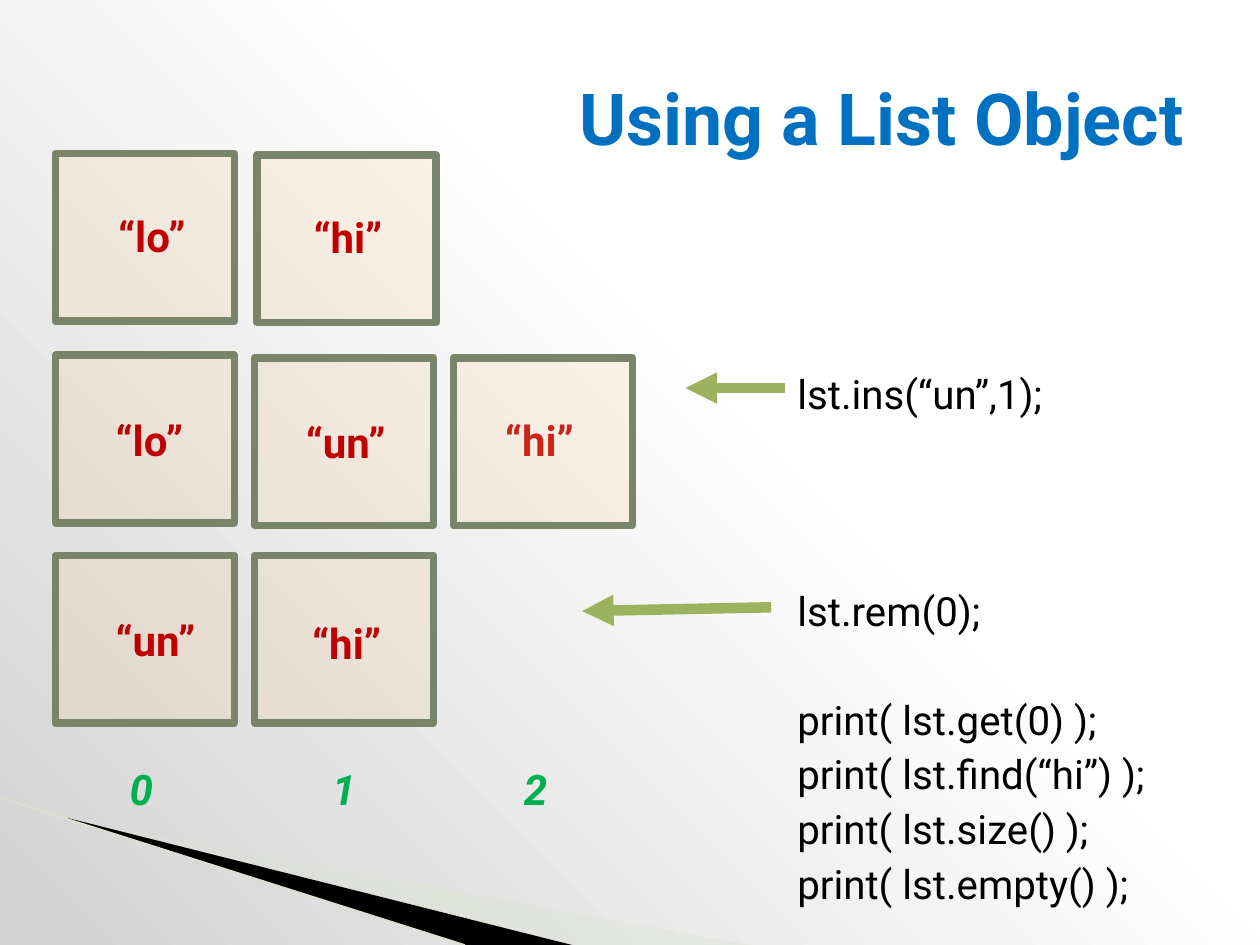
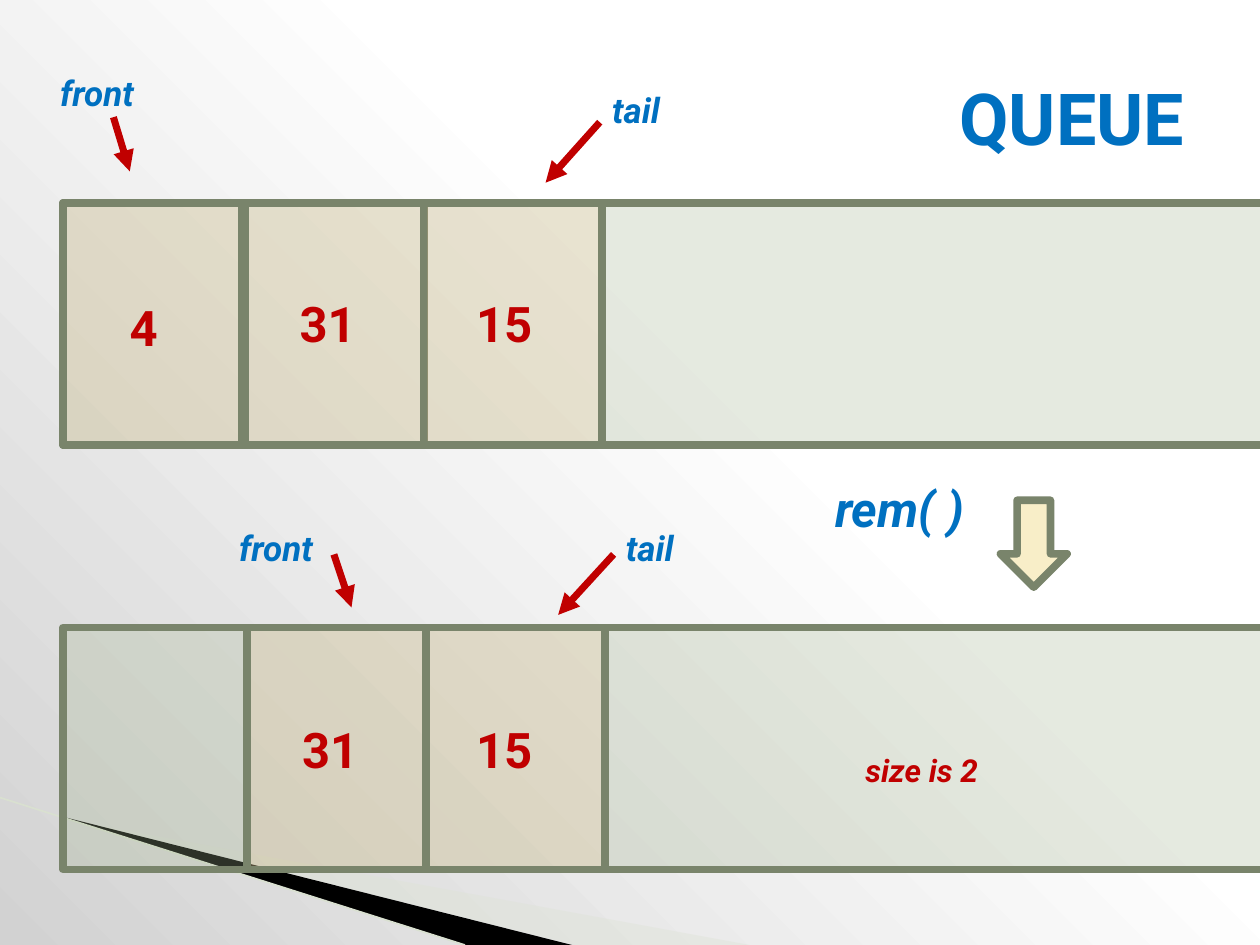
import pptx
import pptx.util
import pptx.dml.color
import pptx.enum.shapes
import pptx.enum.text
import pptx.oxml
import pptx.oxml.ns
from lxml import etree

Inches = pptx.util.Inches
Pt = pptx.util.Pt
SHAPES = pptx.enum.shapes.MSO_SHAPE
NAMESPACE = pptx.oxml.ns.nsdecls("a")
FONT = "Roboto"
COLORS = {
    "title": "0070C0", "value": "C00000", "index": "00B050", "code": "000000",
    "border": "79846B", "cell": "F8C78E", "band": "A5B592", "step": "F0D77D",
    "call_arrow": "9DB25E", "wedge": "DDE3D5", "hairline": "D9E0D0",
    "light": "FFFFFF", "dark": "D2D2D2",
}
CELL_WIDTH = 1.42
LIST_CELL_HEIGHT = 1.33
BAND_HEIGHT = 1.92


def rgb(name):
    """Return the named colour."""
    return pptx.dml.color.RGBColor.from_string(COLORS[name])


def add_run(paragraph, text, size, color, bold=True, italic=False):
    """Add one formatted run to a paragraph."""
    run = paragraph.add_run()
    run.text = text
    run.font.name = FONT
    run.font.size = Pt(size)
    run.font.bold = bold
    run.font.italic = italic
    run.font.color.rgb = rgb(color)


def add_text_box(slide, left, top, width, height):
    """Add an empty wrapping text box and return its frame."""
    shape = slide.shapes.add_textbox(Inches(left), Inches(top), Inches(width), Inches(height))
    shape.text_frame.word_wrap = True
    return shape.text_frame


def add_label(slide, text, left, top, size, color, width=1.0, italic=False):
    """Add a single-line bold label."""
    frame = add_text_box(slide, left, top, width, 0.5)
    add_run(frame.paragraphs[0], text, size, color, italic=italic)


def fill_shape(shape, color, opacity=100):
    """Give a shape a flat fill of the given opacity."""
    shape.shadow.inherit = False
    shape.fill.solid()
    shape.fill.fore_color.rgb = rgb(color)
    if opacity < 100:
        element = shape._element.spPr.find(".//" + pptx.oxml.ns.qn("a:srgbClr"))
        alpha = etree.SubElement(element, pptx.oxml.ns.qn("a:alpha"))
        alpha.set("val", str(opacity * 1000))


def add_block(slide, kind, left, top, width, height, color, opacity):
    """Add a translucent shape with the shared thick border."""
    shape = slide.shapes.add_shape(kind, Inches(left), Inches(top), Inches(width), Inches(height))
    fill_shape(shape, color, opacity)
    shape.line.color.rgb = rgb("border")
    shape.line.width = Pt(4.33)
    etree.SubElement(shape.line._get_or_add_ln(), pptx.oxml.ns.qn("a:round"))


def add_line(slide, start, end, color, width, arrow=True):
    """Add a straight line, with an arrowhead at its end if wanted."""
    points = [Inches(value) for value in (*start, *end)]
    connector = slide.shapes.add_connector(pptx.enum.shapes.MSO_CONNECTOR.STRAIGHT, *points)
    connector.line.color.rgb = rgb(color)
    connector.line.width = Pt(width)
    if arrow:
        head = etree.SubElement(connector.line._get_or_add_ln(), pptx.oxml.ns.qn("a:tailEnd"))
        head.set("type", "triangle")
    etree.SubElement(connector._element.spPr, pptx.oxml.ns.qn("a:effectLst"))


def add_wedge(slide, points, color, opacity=100):
    """Add a borderless polygon."""
    corners = [(Inches(x), Inches(y)) for x, y in points]
    builder = slide.shapes.build_freeform(*corners[0])
    builder.add_line_segments(corners[1:])
    shape = builder.convert_to_shape()
    fill_shape(shape, color, opacity)
    shape.line.fill.background()


def set_background(slide):
    """Shade the slide from its top right corner to its bottom left."""
    slide.background.fill.solid()
    properties = slide._element.cSld.find(".//" + pptx.oxml.ns.qn("p:bgPr"))
    stops = "".join(
        f'<a:gs pos="{position * 1000}"><a:srgbClr val="{COLORS[name]}"/></a:gs>'
        for position, name in ((0, "light"), (40, "light"), (100, "dark")))
    gradient = pptx.oxml.parse_xml(
        f'<a:gradFill {NAMESPACE} rotWithShape="1"><a:gsLst>{stops}</a:gsLst>'
        '<a:path path="circle"><a:fillToRect l="100000" b="100000"/></a:path></a:gradFill>')
    properties.replace(properties[0], gradient)


def start_slide(presentation, title):
    """Add a slide with the shared background, wedges and title."""
    slide = presentation.slides.add_slide(presentation.slide_layouts[5])
    set_background(slide)
    add_wedge(slide, [(0.55, 6.51), (5.95, 7.5), (4.56, 7.5), (0.55, 6.5)], "wedge", 40)
    add_wedge(slide, [(0.53, 6.49), (4.54, 7.5), (3.7, 7.5), (0.54, 6.5)], "code")
    add_line(slide, (0, 6.33), (3.69, 7.5), "hairline", 0.95, arrow=False)
    shape = slide.shapes.title
    shape.left, shape.top = Inches(0.5), Inches(0.3)
    shape.width, shape.height = Inches(9), Inches(1.25)
    frame = shape.text_frame
    frame.auto_size = pptx.enum.text.MSO_AUTO_SIZE.NONE
    frame.vertical_anchor = pptx.enum.text.MSO_ANCHOR.MIDDLE
    frame.paragraphs[0].alignment = pptx.enum.text.PP_ALIGN.RIGHT
    add_run(frame.paragraphs[0], title, 41, "title")
    return slide


def add_list_row(slide, left, top, pitch, drop, items):
    """Add list cells; each item is a word and its offset in the cell."""
    for index, (word, across, down) in enumerate(items):
        x = left + index * pitch
        y = top + (drop if index else 0)
        cell = (slide, SHAPES.RECTANGLE, x, y, CELL_WIDTH, LIST_CELL_HEIGHT, "cell", 19)
        covered = index == 2
        if not covered:
            add_block(*cell)
        add_label(slide, word, x + across, y + down, 24, "value")
        if covered:
            add_block(*cell)


def add_code(slide, left, top, width, height):
    """Add the list calls, spaced to line up with the rows."""
    frame = add_text_box(slide, left, top, width, height)
    lines = [("lst.ins(“un”,1);", 0), ("lst.rem(0);", 96.5), ("print( lst.get(0) );", 34.5),
             ("print( lst.find(“hi”) );", 3.7), ("print( lst.size() );", 3.7),
             ("print( lst.empty() );", 3.7)]
    for index, (text, gap) in enumerate(lines):
        paragraph = frame.add_paragraph() if index else frame.paragraphs[0]
        paragraph.space_before = Pt(gap)
        add_run(paragraph, text, 23, "code", bold=False)


def add_queue(slide, left, top, cells):
    """Add a queue band; each cell is a number, its place and its label offset."""
    add_block(slide, SHAPES.RECTANGLE, left, top, 9.83, BAND_HEIGHT, "band", 28)
    for number, across, label_across, label_down in cells:
        x = left + across
        add_block(slide, SHAPES.RECTANGLE, x, top, CELL_WIDTH, BAND_HEIGHT, "cell", 19)
        add_label(slide, number, x + label_across, top + label_down, 28, "value", 0.75)


def add_pointer(slide, name, left, top, start, reach):
    """Add a named arrow; start is relative to the label, reach to the start."""
    add_label(slide, name, left, top, 20, "title", italic=True)
    x, y = left + start[0], top + start[1]
    add_line(slide, (x, y), (x + reach[0], y + reach[1]), "value", 4)


def build_list_slide(presentation):
    """Build the slide that shows a list changing."""
    slide = start_slide(presentation, "Using a List Object")
    add_list_row(slide, 0.44, 1.22, 1.6, 0.01, [("“lo”", 0.4, 0.4), ("“hi”", 0.35, 0.4)])
    add_list_row(slide, 0.44, 2.82, 1.58, 0.02,
                 [("“lo”", 0.38, 0.42), ("“un”", 0.31, 0.42), ("“hi”", 0.31, 0.4)])
    add_list_row(slide, 0.44, 4.41, 1.58, 0, [("“un”", 0.38, 0.42), ("“hi”", 0.36, 0.44)])
    for index, left in enumerate((0.93, 2.54, 4.06)):
        add_label(slide, str(index), left, 6.01, 24, "index", 0.5, italic=True)
    add_code(slide, 6.23, 2.88, 3.39, 4.45)
    add_line(slide, (6.23, 3.08), (5.44, 3.08), "call_arrow", 6)
    add_line(slide, (6.12, 4.82), (4.62, 4.85), "call_arrow", 6)


def build_queue_slide(presentation):
    """Build the slide that shows a queue before and after a removal."""
    slide = start_slide(presentation, "QUEUE")
    add_queue(slide, 0.5, 1.61, [("4", 0, 0.43, 0.7), ("31", 1.45, 0.33, 0.67),
                                 ("15", 2.86, 0.32, 0.67)])
    add_queue(slide, 0.5, 4.98, [("31", 1.46, 0.34, 0.68), ("15", 2.88, 0.3, 0.68)])
    add_pointer(slide, "front", 0.38, 0.52, (0.52, 0.41), (0.13, 0.43))
    add_pointer(slide, "tail", 4.76, 0.65, (0, 0.32), (-0.43, 0.48))
    add_pointer(slide, "front", 1.8, 4.13, (0.85, 0.27), (0.14, 0.42))
    add_pointer(slide, "tail", 4.87, 4.13, (0, 0.27), (-0.44, 0.48))
    add_label(slide, "size is 2", 6.77, 5.91, 18, "value", 1.42, italic=True)
    add_label(slide, "rem( )", 6.53, 3.75, 28, "title", 1.34, italic=True)
    add_block(slide, SHAPES.DOWN_ARROW, 7.94, 3.97, 0.53, 0.69, "step", 42)


def main():
    """Build and save the presentation."""
    presentation = pptx.Presentation()
    presentation.slide_width = Inches(10)
    presentation.slide_height = Inches(7.5)
    build_list_slide(presentation)
    build_queue_slide(presentation)
    presentation.save("out.pptx")


if __name__ == "__main__":
    main()
